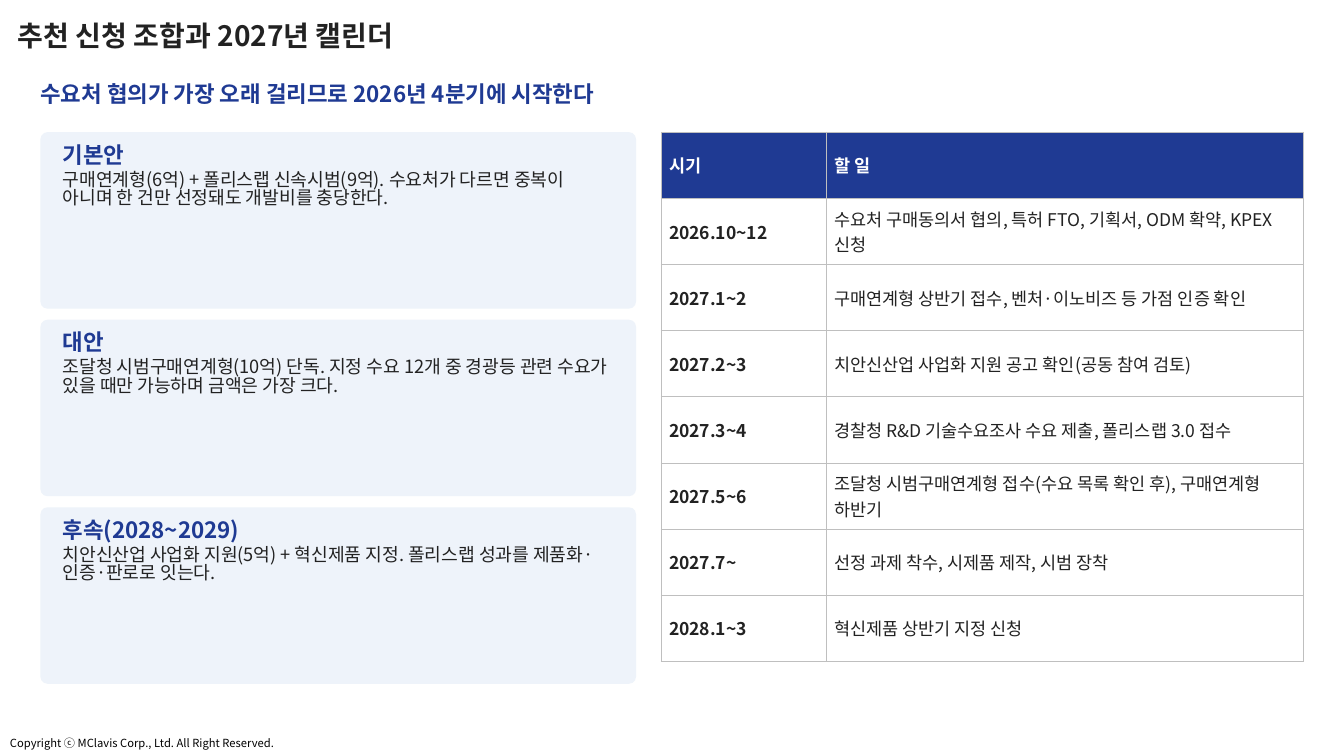
import dataclasses

import lxml.etree
import pptx
import pptx.dml.color
import pptx.enum.shapes
import pptx.enum.text
import pptx.oxml
import pptx.oxml.ns
import pptx.util

Cm = pptx.util.Cm
Pt = pptx.util.Pt
Anchor = pptx.enum.text.MSO_ANCHOR


@dataclasses.dataclass(frozen=True)
class Theme:
    """Colours, type sizes and font of the slide."""
    font: str = "Noto Sans CJK KR"
    navy: str = "1F3A93"
    ink: str = "222222"
    black: str = "000000"
    white: str = "FFFFFF"
    pale: str = "EEF3FA"
    rule: str = "BFBFBF"
    title: float = 20
    heading: float = 16
    body: float = 13
    cell: float = 12.5
    footer: float = 8


THEME = Theme()

PLANS = [
    ("기본안", "구매연계형(6억) + 폴리스랩 신속시범(9억). 수요처가 다르면 중복이 아니며 한 건만 선정돼도 개발비를 충당한다."),
    ("대안", "조달청 시범구매연계형(10억) 단독. 지정 수요 12개 중 경광등 관련 수요가 있을 때만 가능하며 금액은 가장 크다."),
    ("후속(2028~2029)", "치안신산업 사업화 지원(5억) + 혁신제품 지정. 폴리스랩 성과를 제품화·인증·판로로 잇는다."),
]

CALENDAR = [
    ("시기", "할 일"),
    ("2026.10~12", "수요처 구매동의서 협의, 특허 FTO, 기획서, ODM 확약, KPEX 신청"),
    ("2027.1~2", "구매연계형 상반기 접수, 벤처·이노비즈 등 가점 인증 확인"),
    ("2027.2~3", "치안신산업 사업화 지원 공고 확인(공동 참여 검토)"),
    ("2027.3~4", "경찰청 R&D 기술수요조사 수요 제출, 폴리스랩 3.0 접수"),
    ("2027.5~6", "조달청 시범구매연계형 접수(수요 목록 확인 후), 구매연계형 하반기"),
    ("2027.7~", "선정 과제 착수, 시제품 제작, 시범 장착"),
    ("2028.1~3", "혁신제품 상반기 지정 신청"),
]


def rgb(colour):
    """Turn a hex string into a colour value."""
    return pptx.dml.color.RGBColor.from_string(colour)


def apply(target, formats):
    """Set every attribute listed in the formats on the target."""
    for attribute, setting in formats.items():
        setattr(target, attribute, setting)


def margins(horizontal, vertical):
    """Give the four inner margins as format values."""
    return {"margin_left": Cm(horizontal), "margin_right": Cm(horizontal),
            "margin_top": Cm(vertical), "margin_bottom": Cm(vertical)}


def write(paragraph, wording, size, colour, bold=False, **spacing):
    """Write one run in the theme font and space its paragraph."""
    apply(paragraph, spacing)
    run = paragraph.add_run()
    run.text = wording
    apply(run.font, {"name": THEME.font, "size": Pt(size), "bold": bold})
    run.font.color.rgb = rgb(colour)
    east_asian = lxml.etree.SubElement(run.font._element, pptx.oxml.ns.qn("a:ea"))
    east_asian.set("typeface", THEME.font)


def add_frame(slide, box, **formats):
    """Add a text box and return its formatted text frame."""
    frame = slide.shapes.add_textbox(*map(Cm, box)).text_frame
    apply(frame, {"word_wrap": True, **formats})
    return frame


def add_heading(slide, box):
    """Place the title and the key message below it."""
    left, top, width, height = box
    title = add_frame(slide, (left, top, 29.21, 0.99), vertical_anchor=Anchor.MIDDLE)
    write(title.paragraphs[0], "추천 신청 조합과 2027년 캘린더", THEME.title, THEME.ink, True,
          line_spacing=0.9)
    message = add_frame(slide, (left + 0.82, top + 1.32, width - 0.82, height - 1.32),
                        vertical_anchor=Anchor.MIDDLE, **margins(0, 0))
    write(message.paragraphs[0], "수요처 협의가 가장 오래 걸리므로 2026년 4분기에 시작한다",
          THEME.heading, THEME.navy, True, space_after=Pt(4))


def add_plan(slide, box, name, summary):
    """Place one plan card with its name and summary."""
    left, top, width, height = box
    card = slide.shapes.add_shape(pptx.enum.shapes.MSO_SHAPE.ROUNDED_RECTANGLE, *map(Cm, box))
    card.adjustments[0] = 0.04
    card.shadow.inherit = False
    card.fill.solid()
    card.fill.fore_color.rgb = rgb(THEME.pale)
    card.line.fill.background()
    plan = add_frame(slide, (left + 0.56, top + 0.33, width - 1.12, height - 0.56), **margins(0, 0))
    write(plan.paragraphs[0], name, THEME.heading, THEME.navy, True,
          line_spacing=0.83, space_after=Pt(3))
    write(plan.add_paragraph(), summary, THEME.body, THEME.ink,
          line_spacing=0.83, space_after=Pt(4))


def add_plans(slide, box, gap):
    """Stack the plan cards evenly in the box."""
    left, top, width, height = box
    card_height = (height - gap * (len(PLANS) - 1)) / len(PLANS)
    for index, (name, summary) in enumerate(PLANS):
        card_top = top + index * (card_height + gap)
        add_plan(slide, (left, card_top, width, card_height), name, summary)


def add_borders(cell):
    """Draw a thin rule on the four sides of a cell."""
    properties = cell._tc.get_or_add_tcPr()
    for position, side in enumerate(("lnL", "lnR", "lnT", "lnB")):
        border = pptx.oxml.parse_xml(
            f'<a:{side} {pptx.oxml.ns.nsdecls("a")} w="{Pt(0.5)}"><a:solidFill>'
            f'<a:srgbClr val="{THEME.rule}"/></a:solidFill></a:{side}>')
        properties.insert(position, border)


def add_calendar(slide, box, period_width):
    """Place the calendar table with equal rows."""
    left, top, width, height = box
    calendar = slide.shapes.add_table(len(CALENDAR), 2, *map(Cm, box)).table
    for column, column_width in zip(calendar.columns, (period_width, width - period_width)):
        column.width = Cm(column_width)
    for row_index, entry in enumerate(CALENDAR):
        calendar.rows[row_index].height = Cm(height / len(CALENDAR))
        header = row_index == 0
        for column_index, wording in enumerate(entry):
            cell = calendar.cell(row_index, column_index)
            apply(cell, {"vertical_anchor": Anchor.MIDDLE, **margins(0.2, 0.1)})
            cell.fill.solid()
            cell.fill.fore_color.rgb = rgb(THEME.navy if header else THEME.white)
            add_borders(cell)
            write(cell.text_frame.paragraphs[0], wording, THEME.cell,
                  THEME.white if header else THEME.ink, header or column_index == 0)


def add_footer(slide, box):
    """Place the copyright line."""
    footer = add_frame(slide, box, word_wrap=False)
    write(footer.paragraphs[0], "Copyright ⓒ MClavis Corp., Ltd. All Right Reserved.",
          THEME.footer, THEME.black)


def main():
    """Build the slide and save it."""
    deck = pptx.Presentation()
    apply(deck, {"slide_width": Cm(33.87), "slide_height": Cm(19.05)})
    slide = deck.slides.add_slide(deck.slide_layouts[6])
    add_footer(slide, (0, 18.44, 7.19, 0.61))
    add_heading(slide, (0.2, 0.46, 32.64, 2.49))
    add_plans(slide, (1.02, 3.33, 15.01, 13.9), gap=0.28)
    add_calendar(slide, (16.66, 3.33, 16.18, 13.34), period_width=4.17)
    deck.save("out.pptx")


if __name__ == "__main__":
    main()
